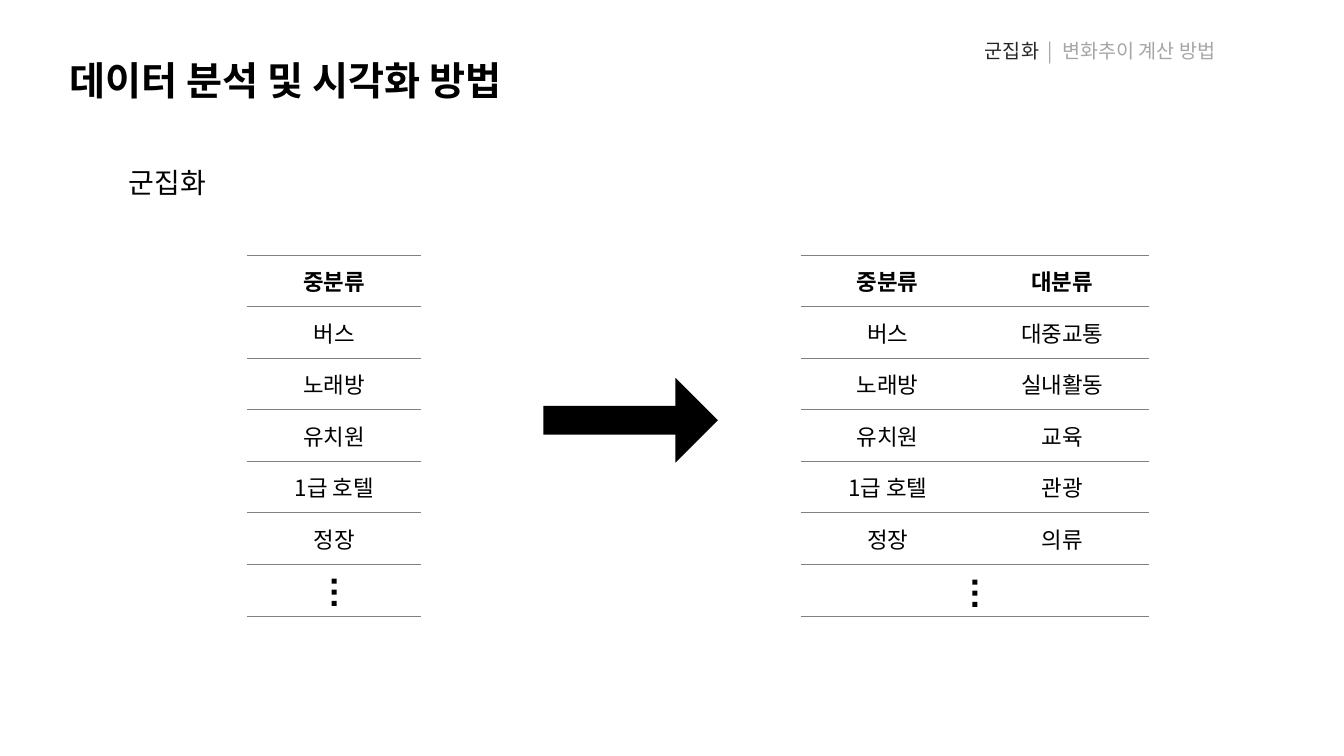
import pptx
import pptx.util
import pptx.dml.color
import pptx.enum.shapes
import pptx.enum.text
import pptx.oxml
import pptx.oxml.ns
from dataclasses import dataclass
from pptx.util import Inches

TITLE = "데이터 분석 및 시각화 방법"
SUBTITLE = "군집화"
CURRENT_SECTION = "군집화  "
NEXT_SECTION = "|  변화추이 계산 방법"
CATEGORIES = [
    ("중분류", "대분류"),
    ("버스", "대중교통"),
    ("노래방", "실내활동"),
    ("유치원", "교육"),
    ("1급 호텔", "관광"),
    ("정장", "의류"),
    ("", ""),
]
# left edge, number of columns, top of the first dot
TABLES = [(7.94, 2, 5.75), (2.45, 1, 5.74)]
TABLE_TOP, COLUMN_WIDTH, ROW_HEIGHT = 2.53, 1.73, 3.58 / 7
DOT_SIZE, DOT_STEP, DOT_COUNT = 0.05, 0.11, 3


@dataclass(frozen=True)
class Theme:
    font: str = "Noto Sans CJK KR"
    black: str = "000000"
    active: str = "262626"
    muted: str = "A6A6A6"
    rule: str = "808080"
    rule_width: float = 0.5
    title: int = 28
    subtitle: int = 20
    body: int = 16
    header: int = 14


THEME = Theme()
ALIGN = pptx.enum.text.PP_ALIGN
SHAPE = pptx.enum.shapes.MSO_SHAPE


def rgb(color):
    return pptx.dml.color.RGBColor.from_string(color)


def add_text(paragraph, text, size=THEME.body, color=THEME.black, bold=False, align=None):
    run = paragraph.add_run()
    run.text = text
    font = run.font
    font.name, font.size, font.bold = THEME.font, pptx.util.Pt(size), bold
    font.color.rgb = rgb(color)
    east_asian = pptx.oxml.parse_xml(
        f'<a:ea {pptx.oxml.ns.nsdecls("a")} typeface="{THEME.font}"/>')
    font._element.find(pptx.oxml.ns.qn("a:latin")).addnext(east_asian)
    if align is not None:
        paragraph.alignment = align


def add_text_box(slide, left, top, width, height):
    """Add a wrapping text box and return its first paragraph."""
    frame = slide.shapes.add_textbox(*map(Inches, (left, top, width, height))).text_frame
    frame.word_wrap = True
    return frame.paragraphs[0]


def add_black_shape(slide, kind, left, top, width, height):
    shape = slide.shapes.add_shape(kind, *map(Inches, (left, top, width, height)))
    shape.shadow.inherit = False
    shape.fill.solid()
    shape.fill.fore_color.rgb = rgb(THEME.black)
    shape.line.fill.background()
    return shape


def rule_cell(cell):
    """Draw the cell's top and bottom rules and clear its sides and fill."""
    cell.fill.background()
    properties = cell._tc.get_or_add_tcPr()
    solid = f'<a:solidFill><a:srgbClr val="{THEME.rule}"/></a:solidFill>'
    width = pptx.util.Pt(THEME.rule_width)
    for index, side in enumerate("LRTB"):
        paint = solid if side in "TB" else "<a:noFill/>"
        properties.insert(index, pptx.oxml.parse_xml(
            f'<a:ln{side} {pptx.oxml.ns.nsdecls("a")} w="{width}">{paint}</a:ln{side}>'))


def add_category_table(slide, left, columns):
    table = slide.shapes.add_table(
        len(CATEGORIES), columns, Inches(left), Inches(TABLE_TOP),
        Inches(COLUMN_WIDTH * columns), Inches(ROW_HEIGHT * len(CATEGORIES))).table
    table.first_row = table.horz_banding = False
    for column in table.columns:
        column.width = Inches(COLUMN_WIDTH)
    for row, labels in enumerate(CATEGORIES):
        table.rows[row].height = Inches(ROW_HEIGHT)
        for column, label in enumerate(labels[:columns]):
            cell = table.cell(row, column)
            rule_cell(cell)
            cell.vertical_anchor = pptx.enum.text.MSO_ANCHOR.MIDDLE
            if label:
                add_text(cell.text_frame.paragraphs[0], label,
                         bold=row == 0, align=ALIGN.CENTER)


def add_dots(slide, center, top):
    for index in range(DOT_COUNT):
        add_black_shape(slide, SHAPE.RECTANGLE, center - DOT_SIZE / 2,
                        top + index * DOT_STEP, DOT_SIZE, DOT_SIZE)


def main():
    presentation = pptx.Presentation()
    presentation.slide_width, presentation.slide_height = Inches(13.33), Inches(7.5)
    slide = presentation.slides.add_slide(presentation.slide_layouts[6])

    add_text(add_text_box(slide, 0.59, 0.51, 4.53, 0.57), TITLE, size=THEME.title, bold=True)
    header = add_text_box(slide, 9.67, 0.34, 3.19, 0.34)
    add_text(header, CURRENT_SECTION, size=THEME.header, color=THEME.active,
             align=ALIGN.JUSTIFY)
    add_text(header, NEXT_SECTION, size=THEME.header, color=THEME.muted)
    add_text(add_text_box(slide, 1.18, 1.59, 0.99, 0.44), SUBTITLE, size=THEME.subtitle)

    for left, columns, dots_top in TABLES:
        add_category_table(slide, left, columns)
        add_dots(slide, left + COLUMN_WIDTH * columns / 2, dots_top)

    arrow = add_black_shape(slide, SHAPE.RIGHT_ARROW, 5.39, 3.75, 1.73, 0.84)
    arrow.adjustments[0], arrow.adjustments[1] = 0.34, 0.5

    presentation.save("out.pptx")


if __name__ == "__main__":
    main()
